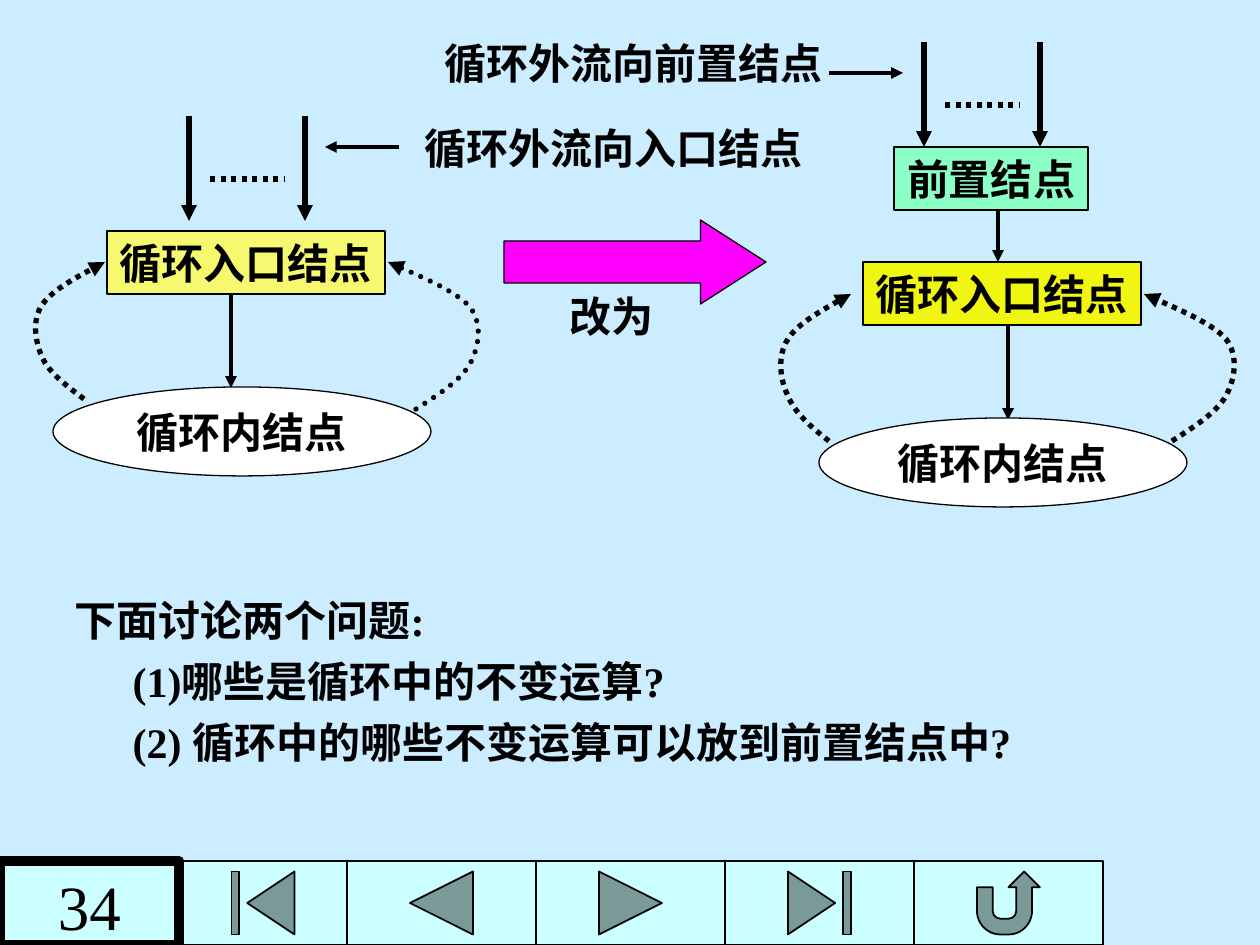
from lxml.etree import SubElement
from pptx import Presentation
from pptx.dml.color import RGBColor
from pptx.enum.dml import MSO_LINE
from pptx.enum.shapes import MSO_CONNECTOR, MSO_SHAPE
from pptx.enum.text import MSO_ANCHOR, MSO_AUTO_SIZE, PP_ALIGN
from pptx.oxml.ns import qn
from pptx.util import Emu, Pt

EMU_PER_PX = 914400 / 126
FONT = "Times New Roman"

BLACK = RGBColor(0x00, 0x00, 0x00)
WHITE = RGBColor(0xFF, 0xFF, 0xFF)
SKY = RGBColor(0xCC, 0xEC, 0xFF)
AQUA = RGBColor(0xCC, 0xFF, 0xFF)
PALE_YELLOW = RGBColor(0xF6, 0xF9, 0x6F)
YELLOW = RGBColor(0xF0, 0xF5, 0x11)
MINT = RGBColor(0x8B, 0xFF, 0xC5)
MAGENTA = RGBColor(0xFF, 0x00, 0xFF)

# Content: (text, place as left, top, width, height in px, fill)
NODES = [
    (MSO_SHAPE.RECTANGLE, "循环入口结点", (107, 231, 278, 63), PALE_YELLOW),
    (MSO_SHAPE.RECTANGLE, "前置结点", (894, 147, 194, 63), MINT),
    (MSO_SHAPE.RECTANGLE, "循环入口结点", (863, 262, 278, 63), YELLOW),
    (MSO_SHAPE.OVAL, "循环内结点", (53, 387, 378, 89), WHITE),
    (MSO_SHAPE.OVAL, "循环内结点", (819, 418, 368, 89), WHITE),
]
LABELS = [
    ("循环外流向前置结点", (432, 31, 404, 63)),
    ("循环外流向入口结点", (412, 116, 404, 63)),
    ("改为", (557, 284, 110, 63)),
]
QUESTIONS = [
    ("下面讨论两个问题:", 0),
    ("(1)哪些是循环中的不变运算?", 58),
    ("(2) 循环中的哪些不变运算可以放到前置结点中?", 58),
]
QUESTIONS_PLACE = (62, 588, 1050, 246)
PAGE_NUMBER = "34"

# Groups of incoming edges: two arrows with a dotted line between them
INCOMING = [(189, 116), (924, 42)]
# Thin arrows: start x, start y, end x, end y
ARROWS = [
    (998, 210, 998, 262),
    (829, 73, 903, 73),
    (399, 147, 325, 147),
    (231, 294, 231, 388),
    (1008, 325, 1008, 420),
]
# Back edges: start point, then three points for each Bézier piece
RIGHT_EDGE = [(1172, 441), (1194, 427), (1216, 413), (1226, 396), (1235, 379),
              (1239, 356), (1226, 339), (1212, 323), (1178, 309), (1144, 294)]
BACK_EDGES = [
    ([(84, 399), (67, 386), (49, 373), (42, 357), (35, 341),
      (32, 320), (42, 305), (53, 289), (79, 276), (105, 262)], False),
    ([(829, 441), (811, 427), (795, 413), (788, 396), (780, 379),
      (777, 356), (788, 339), (798, 323), (824, 309), (851, 294)], False),
    (RIGHT_EDGE, False),
    ([(x - 756, y - 32) for x, y in RIGHT_EDGE], True),
]
# Navigation bar: button shape, width
BUTTONS = [
    (MSO_SHAPE.ACTION_BUTTON_BEGINNING, 168),
    (MSO_SHAPE.ACTION_BUTTON_BACK_OR_PREVIOUS, 189),
    (MSO_SHAPE.ACTION_BUTTON_FORWARD_OR_NEXT, 189),
    (MSO_SHAPE.ACTION_BUTTON_END, 189),
    (MSO_SHAPE.ACTION_BUTTON_RETURN, 189),
]
BAR_LEFT, BAR_TOP, BAR_HEIGHT = 179, 861, 84


def px(value):
    return Emu(round(value * EMU_PER_PX))


def add_span(para, text, size=24, bold=True):
    span = para.add_run()
    span.text = text
    span.font.name = FONT
    span.font.size = Pt(size)
    span.font.bold = bold
    span.font.color.rgb = BLACK


def add_block(slide, kind, place, fill, line_width=0.75):
    block = slide.shapes.add_shape(kind, *map(px, place))
    block.shadow.inherit = False
    block.fill.solid()
    block.fill.fore_color.rgb = fill
    block.line.color.rgb = BLACK
    block.line.width = Pt(line_width)
    return block


def style_line(shape, width, dotted=False, arrow=True, rounded=False):
    shape.line.color.rgb = BLACK
    shape.line.width = Pt(width)
    if dotted:
        shape.line.dash_style = MSO_LINE.ROUND_DOT
    outline = shape.line._get_or_add_ln()
    if rounded:
        outline.set("cap", "rnd")
    if arrow:
        SubElement(outline, qn("a:tailEnd"), type="triangle")


def add_line(slide, ends, width, dotted=False, arrow=True):
    line = slide.shapes.add_connector(MSO_CONNECTOR.STRAIGHT, *map(px, ends))
    style_line(line, width, dotted, arrow)
    SubElement(line._element.spPr, qn("a:effectLst"))


def curve_points(knots, steps=16):
    """Sample a chain of cubic Bézier pieces, leaving out the first point."""
    for first in range(0, len(knots) - 1, 3):
        piece = knots[first:first + 4]
        for step in range(1, steps + 1):
            t = step / steps
            weights = ((1 - t) ** 3, 3 * t * (1 - t) ** 2, 3 * t * t * (1 - t), t ** 3)
            yield tuple(px(sum(w * knot[axis] for w, knot in zip(weights, piece)))
                        for axis in (0, 1))


def add_back_edge(slide, knots, rounded):
    builder = slide.shapes.build_freeform(*map(px, knots[0]))
    builder.add_line_segments(list(curve_points(knots)), close=False)
    edge = builder.convert_to_shape()
    edge.shadow.inherit = False
    edge.fill.background()
    style_line(edge, 3, dotted=True, rounded=rounded)


def main():
    deck = Presentation()
    deck.slide_width, deck.slide_height = px(1260), px(945)
    slide = deck.slides.add_slide(deck.slide_layouts[1])
    slide.background.fill.solid()
    slide.background.fill.fore_color.rgb = SKY
    title = slide.shapes.title._element
    title.getparent().remove(title)

    # Navigation bar and page number
    left = BAR_LEFT
    for kind, width in BUTTONS:
        add_block(slide, kind, (left, BAR_TOP, width, BAR_HEIGHT), AQUA, 1)
        left += width
    page = add_block(slide, MSO_SHAPE.RECTANGLE, (0, BAR_TOP, BAR_LEFT, BAR_HEIGHT), AQUA, 6)
    page.text_frame.vertical_anchor = MSO_ANCHOR.TOP
    add_span(page.text_frame.paragraphs[0], PAGE_NUMBER, 36, False)

    # Arrows between nodes
    for x, y in INCOMING:
        for arrow_x in (x, x + 116):
            add_line(slide, (arrow_x, y, arrow_x, y + 105), 3)
        add_line(slide, (x + 21, y + 63, x + 95, y + 63), 3, dotted=True, arrow=False)
    for ends in ARROWS:
        add_line(slide, ends, 2.25)

    # Nodes of both flow graphs
    for kind, text, place, fill in NODES:
        node = add_block(slide, kind, place, fill)
        node.text_frame.word_wrap = False
        para = node.text_frame.paragraphs[0]
        para.alignment = PP_ALIGN.CENTER
        add_span(para, text)
    for knots, rounded in BACK_EDGES:
        add_back_edge(slide, knots, rounded)

    # Block arrow and labels
    change = add_block(slide, MSO_SHAPE.RIGHT_ARROW, (504, 220, 262, 84), MAGENTA)
    change.adjustments[0], change.adjustments[1] = 0.5, 0.78
    for text, place in LABELS:
        box = slide.shapes.add_textbox(*map(px, place))
        box.text_frame.word_wrap = False
        add_span(box.text_frame.paragraphs[0], text)

    # Questions
    body = slide.placeholders[1]
    body.left, body.top, body.width, body.height = map(px, QUESTIONS_PLACE)
    frame = body.text_frame
    frame.auto_size = MSO_AUTO_SIZE.NONE
    frame.vertical_anchor = MSO_ANCHOR.TOP
    for number, (text, indent) in enumerate(QUESTIONS):
        para = frame.add_paragraph() if number else frame.paragraphs[0]
        properties = para._p.get_or_add_pPr()
        properties.set("marL", str(px(indent)))
        properties.set("indent", "0")
        SubElement(properties, qn("a:buNone"))
        para.space_before = Pt(6 if number else 0)
        add_span(para, text)

    deck.save("out.pptx")


if __name__ == "__main__":
    main()
